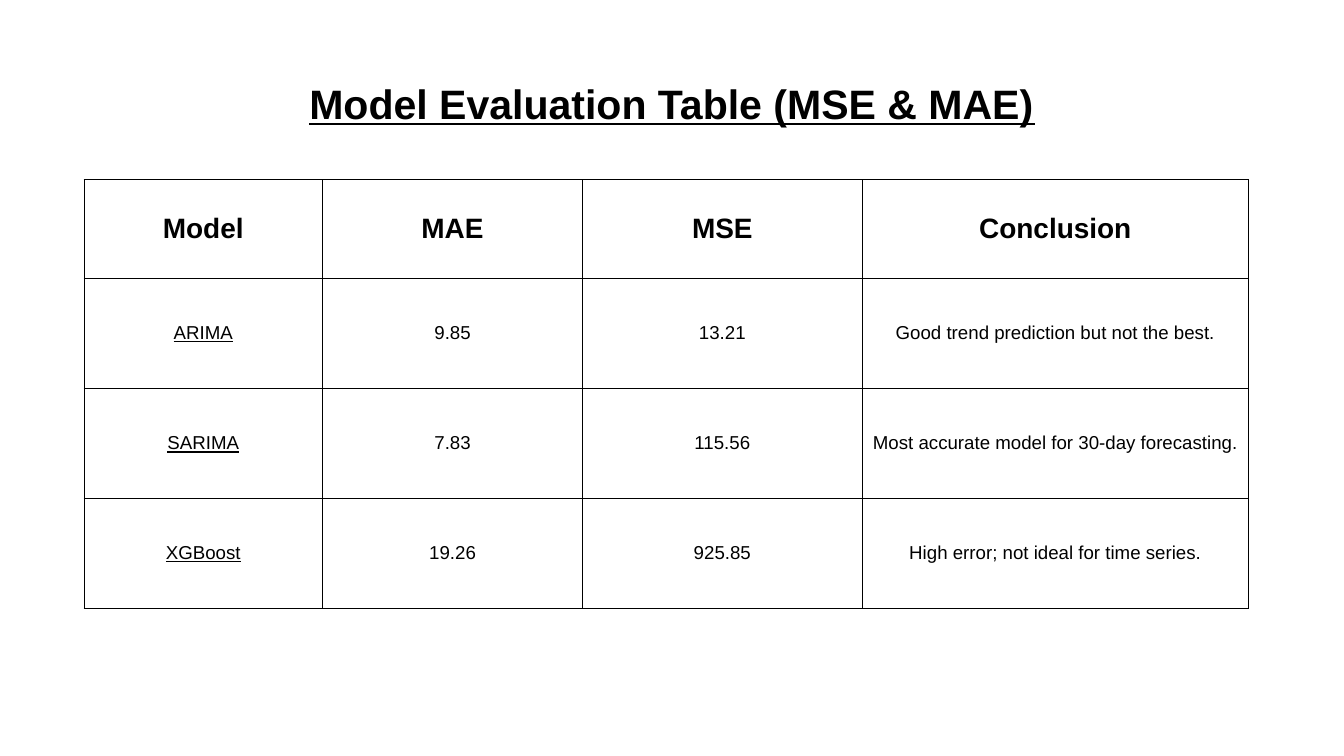
from lxml.etree import SubElement
from pptx import Presentation
from pptx.dml.color import RGBColor
from pptx.enum.text import MSO_ANCHOR, PP_ALIGN
from pptx.oxml import parse_xml
from pptx.oxml.ns import nsdecls, qn
from pptx.util import Pt

COLORS = {"background": "FFFFFF", "text": "000000", "border": "000000"}

HEADERS = ["Model", "MAE", "MSE", "Conclusion"]
EVALUATIONS = [
    ["ARIMA", "9.85", "13.21", "Good trend prediction but not the best."],
    ["SARIMA", "7.83", "115.56", "Most accurate model for 30-day forecasting."],
    ["XGBoost", "19.26", "925.85", "High error; not ideal for time series."],
]
COLUMN_WIDTHS = [255.6, 278.6, 299.5, 414]
ROW_HEIGHTS = [105.8, 118.1, 118.1, 117.4]


class SlideBuilder:
    font_name = "Arial"
    title_size = 44
    header_size = 30
    body_size = 20
    title_inset = 14.4
    cell_inset = 7.2
    border_width = 0.75

    def __init__(self, presentation):
        self.slide = presentation.slides.add_slide(presentation.slide_layouts[6])
        fill = self.slide.background.fill
        fill.solid()
        fill.fore_color.rgb = RGBColor.from_string(COLORS["background"])

    def set_text(self, text_frame, text, size, bold=False, underline=False):
        text_frame.text = text
        paragraph = text_frame.paragraphs[0]
        paragraph.alignment = PP_ALIGN.CENTER
        font = paragraph.runs[0].font
        font.name = self.font_name
        font.size = Pt(size)
        font.bold = bold
        font.underline = underline
        font.color.rgb = RGBColor.from_string(COLORS["text"])

    def set_margins(self, holder, inset):
        """Give a text frame or a table cell the same inset on all four sides."""
        holder.margin_left = holder.margin_right = Pt(inset)
        holder.margin_top = holder.margin_bottom = Pt(inset)

    def add_title(self, text, left, top, width, height):
        shape = self.slide.shapes.add_textbox(Pt(left), Pt(top), Pt(width), Pt(height))
        text_frame = shape.text_frame
        text_frame.word_wrap = True
        text_frame.vertical_anchor = MSO_ANCHOR.MIDDLE
        self.set_margins(text_frame, self.title_inset)
        self.set_text(text_frame, text, self.title_size, bold=True, underline=True)

    def add_borders(self, cell):
        properties = cell._tc.get_or_add_tcPr()
        for index, side in enumerate("LRTB"):
            line = parse_xml(f'<a:ln{side} {nsdecls("a")} w="{Pt(self.border_width)}"/>')
            fill = SubElement(line, qn("a:solidFill"))
            SubElement(fill, qn("a:srgbClr"), val=COLORS["border"])
            properties.insert(index, line)

    def add_table(self, rows, left, top, column_widths, row_heights):
        """Draw a bordered table with a bold first row and an underlined first column."""
        table = self.slide.shapes.add_table(
            len(rows), len(column_widths), Pt(left), Pt(top),
            Pt(sum(column_widths)), Pt(sum(row_heights)),
        ).table
        table.first_row = False
        table.horz_banding = False
        for column, width in zip(table.columns, column_widths):
            column.width = Pt(width)
        for row, height in zip(table.rows, row_heights):
            row.height = Pt(height)
        for row_index, values in enumerate(rows):
            is_header = row_index == 0
            size = self.header_size if is_header else self.body_size
            for column_index, value in enumerate(values):
                cell = table.cell(row_index, column_index)
                cell.fill.background()
                cell.vertical_anchor = MSO_ANCHOR.MIDDLE
                self.set_margins(cell, self.cell_inset)
                self.add_borders(cell)
                underline = column_index == 0 and not is_header
                self.set_text(cell.text_frame, value, size, is_header, underline)


def main():
    presentation = Presentation()
    presentation.slide_width = Pt(1440)
    presentation.slide_height = Pt(810)
    builder = SlideBuilder(presentation)
    builder.add_title("Model Evaluation Table (MSE & MAE)", 49, 65.5, 1342, 90)
    builder.add_table([HEADERS, *EVALUATIONS], 90, 192.2, COLUMN_WIDTHS, ROW_HEIGHTS)
    presentation.save("out.pptx")


if __name__ == "__main__":
    main()
